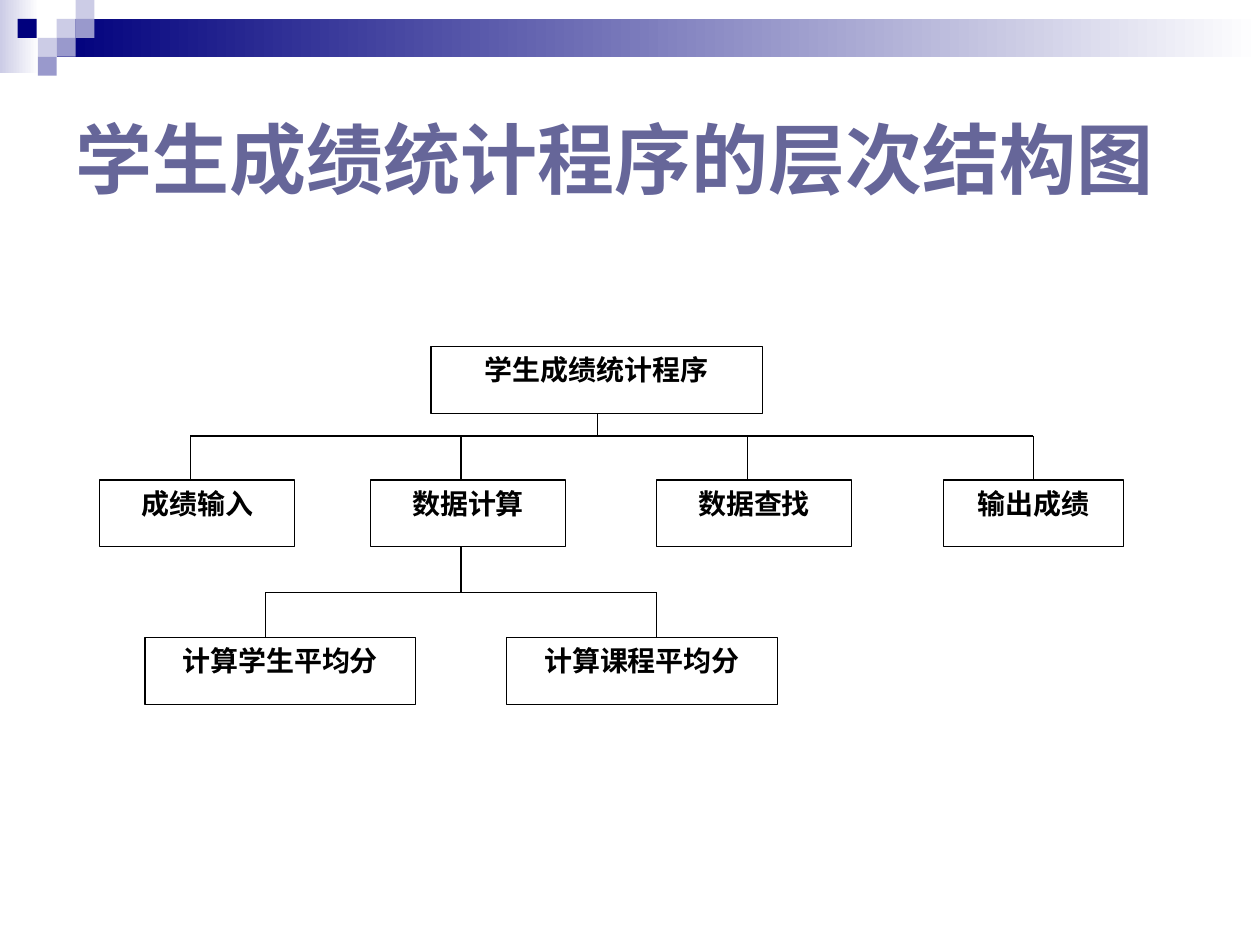
from lxml import etree
from pptx import Presentation
from pptx.dml.color import RGBColor
from pptx.enum import shapes, text
from pptx.oxml.ns import qn
from pptx.util import Inches, Pt


def paint(fill, *colours):
    """Fill with one colour, or with a left-to-right gradient of two."""
    if len(colours) == 1:
        fill.solid()
        fill.fore_color.rgb = RGBColor.from_string(colours[0])
        return
    fill.gradient()
    fill.gradient_angle = 0
    for stop, colour in zip(fill.gradient_stops, colours):
        stop.color.rgb = RGBColor.from_string(colour)


def write(frame, words, *, size, font, colour, align, anchor):
    frame.word_wrap = True
    frame.auto_size = text.MSO_AUTO_SIZE.NONE
    frame.vertical_anchor = anchor
    paragraph = frame.paragraphs[0]
    paragraph.alignment = align
    run = paragraph.add_run()
    run.text = words
    run.font.size = Pt(size)
    run.font.name = font
    run.font.bold = True
    run.font.color.rgb = RGBColor.from_string(colour)


prs = Presentation()
prs.slide_width, prs.slide_height = Inches(10), Inches(7.5)
slide = prs.slides.add_slide(prs.slide_layouts[5])

# Title
title = slide.shapes.title
title.left, title.top = Inches(0.5), Inches(0.5)
title.width, title.height = Inches(9), Inches(1.5)
write(title.text_frame, "学生成绩统计程序的层次结构图", size=44, font="Arial",
      colour="666699", align=text.PP_ALIGN.LEFT, anchor=text.MSO_ANCHOR.MIDDLE)

# Header band and its squares
NAVY, LILAC, VIOLET, WHITE, BLACK = "00007D", "CCCCE6", "9999CC", "FFFFFF", "000000"
SQUARE = 0.15
decorations = [
    (0, 0, 0.31, 0.58, LILAC, WHITE),
    (0.45, 0.15, 9.55, 0.3, NAVY, WHITE),
]
for left, top, colour in [
    (0.45, 0.15, LILAC), (0.6, 0, LILAC), (0.6, 0.15, VIOLET), (0.3, 0.3, LILAC),
    (0.14, 0.15, NAVY), (0.45, 0.3, VIOLET), (0.3, 0.45, VIOLET),
]:
    decorations.append((left, top, SQUARE, SQUARE, colour))
for left, top, width, height, *colours in decorations:
    block = slide.shapes.add_shape(
        shapes.MSO_SHAPE.RECTANGLE, Inches(left), Inches(top), Inches(width), Inches(height))
    block.shadow.inherit = False
    paint(block.fill, *colours)
    block.line.fill.background()

# Modules of the hierarchy
ROOT_TOP, BRANCH_TOP, LEAF_TOP = 2.75, 3.81, 5.06
MODULE_HEIGHT = 0.53
modules = [
    ("学生成绩统计程序", 3.42, ROOT_TOP, 2.63),
    ("成绩输入", 0.79, BRANCH_TOP, 1.55),
    ("数据计算", 2.94, BRANCH_TOP, 1.55),
    ("数据查找", 5.21, BRANCH_TOP, 1.55),
    ("输出成绩", 7.49, BRANCH_TOP, 1.43),
    ("计算学生平均分", 1.15, LEAF_TOP, 2.15),
    ("计算课程平均分", 4.02, LEAF_TOP, 2.15),
]
for words, left, top, width in modules:
    module = slide.shapes.add_shape(
        shapes.MSO_SHAPE.RECTANGLE, Inches(left), Inches(top), Inches(width),
        Inches(MODULE_HEIGHT))
    module.shadow.inherit = False
    paint(module.fill, WHITE)
    paint(module.line.fill, BLACK)
    module.line.width = Pt(0.75)
    write(module.text_frame, words, size=16, font="Times New Roman", colour=BLACK,
          align=text.PP_ALIGN.CENTER, anchor=text.MSO_ANCHOR.TOP)

# Each fork: a stem from the parent, a horizontal bar, a drop to each child
forks = [
    (4.74, ROOT_TOP + MODULE_HEIGHT, 3.46, BRANCH_TOP, [1.51, 3.66, 5.93, 8.2]),
    (3.66, BRANCH_TOP + MODULE_HEIGHT, 4.7, LEAF_TOP, [2.11, 5.21]),
]
for stem, parent_bottom, bar, child_top, drops in forks:
    segments = [(drops[0], bar, drops[-1], bar), (stem, parent_bottom, stem, bar)]
    segments += [(drop, bar, drop, child_top) for drop in drops]
    for segment in segments:
        link = slide.shapes.add_connector(
            shapes.MSO_CONNECTOR.STRAIGHT, *(Inches(value) for value in segment))
        paint(link.line.fill, BLACK)
        link.line.width = Pt(0.75)
        etree.SubElement(link._element.spPr, qn("a:effectLst"))

prs.save("out.pptx")
